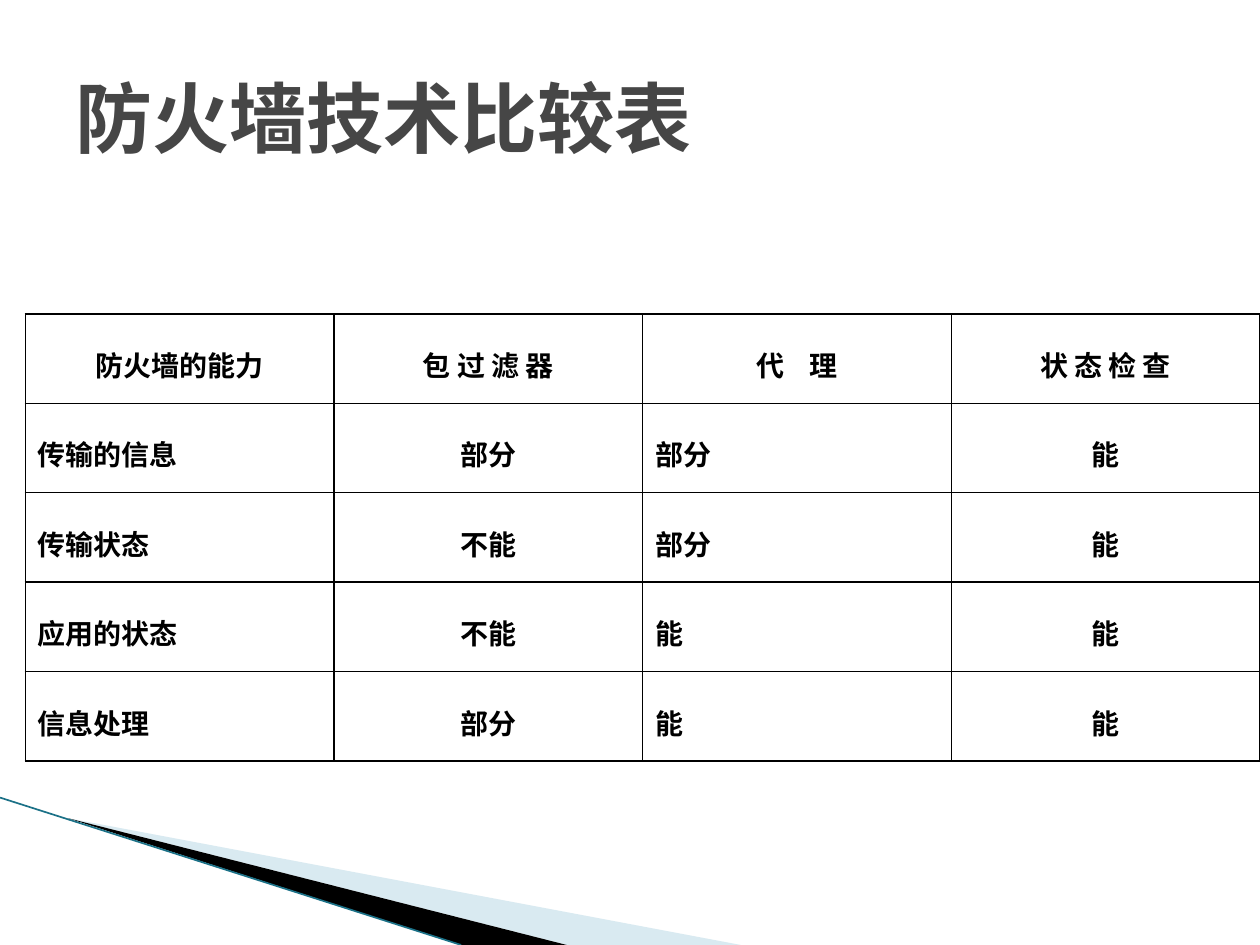
from dataclasses import dataclass

from lxml.etree import SubElement
from pptx import Presentation
from pptx.dml.color import RGBColor
from pptx.enum.shapes import MSO_CONNECTOR
from pptx.enum.text import MSO_ANCHOR, PP_ALIGN
from pptx.oxml.ns import qn
from pptx.util import Inches, Pt

WIDTH, HEIGHT = 10, 7.5


@dataclass(frozen=True)
class Theme:
    ink: str = "000000"
    title: str = "464646"
    paper: str = "FFFFFF"
    wedge: str = "A0CBDC"
    edge: str = "1B7187"
    title_font: str = "Noto Sans Mono"
    table_font: str = "Times New Roman"
    title_size: int = 44
    table_size: int = 16


THEME = Theme()

HEADERS = ["防火墙的能力", "包 过 滤 器", "代 理", "状 态 检 查"]
ABILITIES = [
    ["传输的信息", "部分", "部分", "能"],
    ["传输状态", "不能", "部分", "能"],
    ["应用的状态", "不能", "能", "能"],
    ["信息处理", "部分", "能", "能"],
]
WIDE_GAPS = {"代 理": 540}  # tracking up to the gap, in hundredths of a point
CENTRED_COLUMNS = {1, 3}


def color(value):
    return RGBColor.from_string(value)


def set_format(target, values):
    for name, value in values.items():
        setattr(target, name, value)


def box_format(left, top, width, height):
    return {"left": Inches(left), "top": Inches(top),
            "width": Inches(width), "height": Inches(height)}


def format_font(font, name, size, ink):
    set_format(font, {"name": name, "size": Pt(size), "bold": True})
    font.color.rgb = color(ink)


def set_frame(shape, frame):
    """Give a freeform another frame while its outline stays in place."""
    left, top = shape.left, shape.top
    set_format(shape, box_format(*frame))
    outline = shape._element.spPr.find(".//" + qn("a:path"))
    outline.set("w", str(shape.width))
    outline.set("h", str(shape.height))
    for point in outline.iter(qn("a:pt")):
        point.set("x", str(int(point.get("x")) + left - shape.left))
        point.set("y", str(int(point.get("y")) + top - shape.top))


def add_wedge(slide, points, frame, fill, alpha=100):
    corners = [(Inches(x), Inches(y)) for x, y in points]
    builder = slide.shapes.build_freeform(*corners[0])
    builder.add_line_segments(corners[1:], close=True)
    shape = builder.convert_to_shape()
    set_frame(shape, frame)
    shape.shadow.inherit = False
    shape.line.fill.background()
    shape.fill.solid()
    shape.fill.fore_color.rgb = color(fill)
    if alpha < 100:
        tint = shape.fill._xPr.find(".//" + qn("a:srgbClr"))
        SubElement(tint, qn("a:alpha"), val=str(alpha * 1000))


def add_corner_sweep(slide, left, top, width, height):
    """Two wedges and an edge line that fan out from the left of the box."""
    def at(across, down):
        return left + across * width, top + down * height

    tip, near, middle, far = at(0.09, 0.14), at(0.61, 1), at(0.75, 1), at(0.98, 1)
    add_wedge(slide, [tip, far, middle], (0.78, 5.47, 4.16, 1.58), THEME.wedge, alpha=40)
    add_wedge(slide, [tip, middle, near], (-0.06, 6.33, 4.16, 0.92), THEME.ink)

    ends = [Inches(value) for value in (*at(0, 0), *near)]
    edge = slide.shapes.add_connector(MSO_CONNECTOR.STRAIGHT, *ends)
    edge.line.color.rgb = color(THEME.edge)
    edge.line.width = Pt(0.95)
    SubElement(edge._element.spPr, qn("a:effectLst"))


def add_title(slide, text, left, top, width, height):
    title = slide.shapes.title
    set_format(title, box_format(left, top, width, height))
    title.text_frame.text = text
    title.text_frame.vertical_anchor = MSO_ANCHOR.MIDDLE
    paragraph = title.text_frame.paragraphs[0]
    paragraph.alignment = PP_ALIGN.LEFT
    format_font(paragraph.runs[0].font, THEME.title_font, THEME.title_size, THEME.title)


def add_borders(cell, widths):
    properties = cell._tc.get_or_add_tcPr()
    for position, (side, points) in enumerate(widths.items()):
        line = SubElement(properties, qn(f"a:ln{side}"), w=str(Pt(points)))
        fill = SubElement(line, qn("a:solidFill"))
        SubElement(fill, qn("a:srgbClr"), val=THEME.ink)
        properties.remove(line)
        properties.insert(position, line)


def fill_cell(cell, text, centred):
    set_format(cell, {"margin_left": Inches(0.1), "margin_right": Inches(0.1),
                      "margin_top": Inches(0.24), "margin_bottom": Inches(0.15)})
    cell.fill.solid()
    cell.fill.fore_color.rgb = color(THEME.paper)
    paragraph = cell.text_frame.paragraphs[0]
    paragraph.alignment = PP_ALIGN.CENTER if centred else PP_ALIGN.LEFT
    tracking = WIDE_GAPS.get(text)
    parts = [text[:-1], text[-1]] if tracking else [text]
    for part in parts:
        run = paragraph.add_run()
        run.text = part
        format_font(run.font, THEME.table_font, THEME.table_size, THEME.ink)
    if tracking:
        paragraph.runs[0].font._element.set("spc", str(tracking))


def add_comparison_table(slide, rows, left, top, width, height):
    last = len(rows[0]) - 1
    box = [Inches(value) for value in (left, top, width, height)]
    table = slide.shapes.add_table(len(rows), last + 1, *box).table
    set_format(table, {"first_row": False, "horz_banding": False})
    for row, texts in enumerate(rows):
        for column, text in enumerate(texts):
            cell = table.cell(row, column)
            fill_cell(cell, text, row == 0 or column in CENTRED_COLUMNS)
            add_borders(cell, {"L": 0.75 if column == 0 else 1,
                               "R": 0.75 if column == last else 1,
                               "T": 1, "B": 1})


def main():
    presentation = Presentation()
    set_format(presentation, {"slide_width": Inches(WIDTH),
                              "slide_height": Inches(HEIGHT)})
    slide = presentation.slides.add_slide(presentation.slide_layouts[5])

    # Decoration in the lower left corner
    add_corner_sweep(slide, 0, 6.33, 0.6 * WIDTH, HEIGHT - 6.33)
    # Table that runs to the right edge
    add_comparison_table(slide, [HEADERS, *ABILITIES],
                         0.02 * WIDTH, 2.49, 0.98 * WIDTH, 3.28)
    # Heading
    add_title(slide, "防火墙技术比较表", 0.05 * WIDTH, 0.04 * HEIGHT, 0.9 * WIDTH, 1.25)

    presentation.save("out.pptx")


if __name__ == "__main__":
    main()
